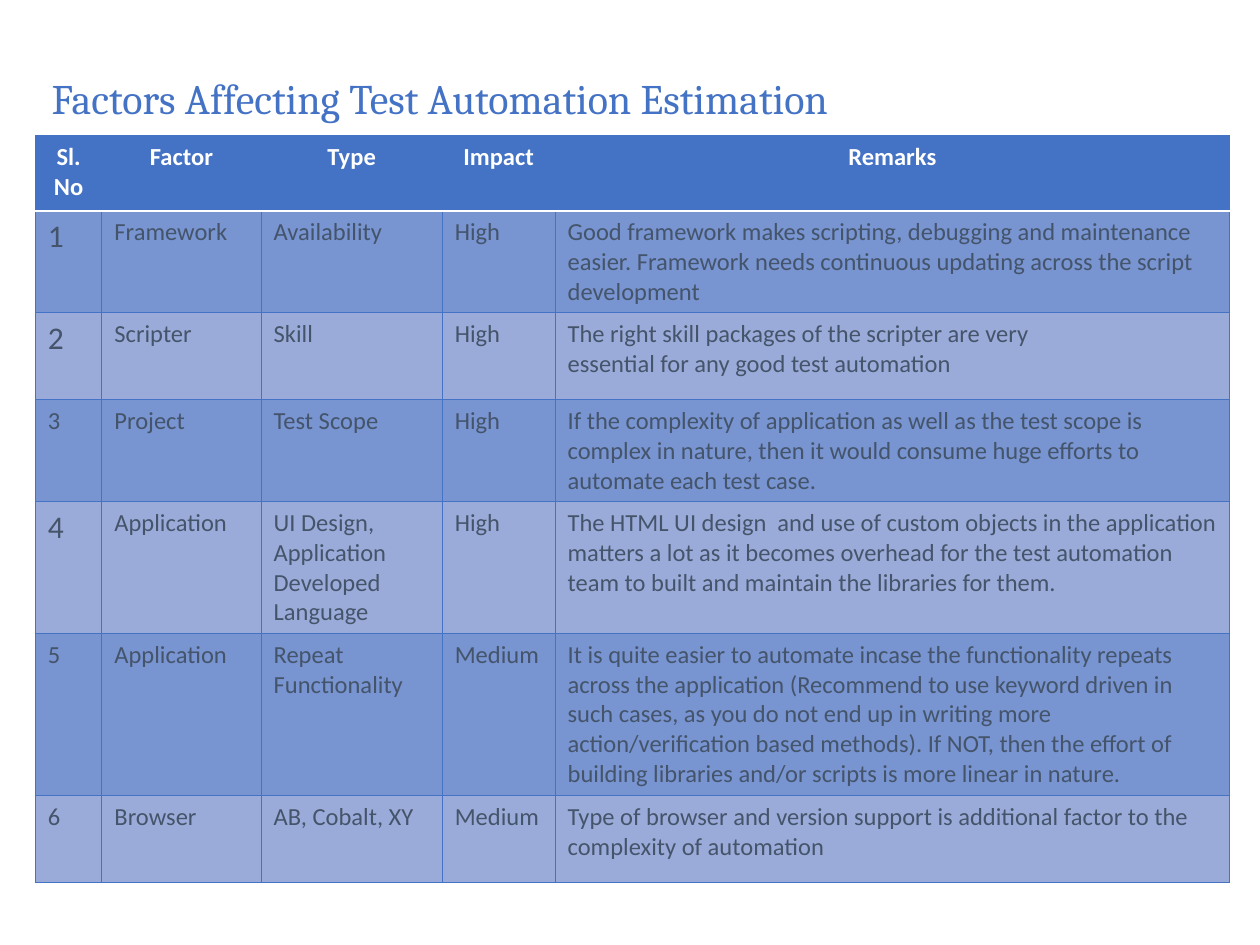
"""Build the slide on factors affecting test automation estimation."""
from dataclasses import dataclass

from lxml.etree import fromstring
from pptx import Presentation
from pptx.dml.color import RGBColor as RGB
from pptx.enum.text import MSO_ANCHOR as ANCHOR, PP_ALIGN as ALIGN
from pptx.oxml.ns import nsdecls
from pptx.util import Pt


@dataclass(frozen=True)
class Theme:
    accent: str = "4472C4"
    odd: str = "7894D1"
    even: str = "9BABD9"
    text: str = "44546A"
    white: str = "FFFFFF"
    title_font: str = "Cambria"
    body_font: str = "Calibri"
    title_size: float = 24
    number_size: float = 18
    body_size: float = 14


T = Theme()
COLS = [38, 91, 103.5, 64.5, 385.5]
HEIGHTS = [43, 58.3, 49.7, 58.3, 75.4, 92.6, 49.7]
LARGE_NUMBERS = {"1", "2", "4"}
ROWS = [
    ("Sl. No", "Factor", "Type", "Impact", "Remarks"),
    ("1", "Framework", "Availability", "High",
     "Good framework makes scripting, debugging and maintenance easier. "
     "Framework needs continuous updating across the script development"),
    ("2", "Scripter", "Skill", "High",
     "The right skill packages of the scripter are very\n"
     "essential for any good test automation"),
    ("3", "Project", "Test Scope", "High",
     "If the complexity of application as well as the test scope is complex in "
     "nature, then it would consume huge efforts to automate each test case."),
    ("4", "Application", "UI Design,\nApplication Developed Language", "High",
     "The HTML UI design  and use of custom objects in the application matters "
     "a lot as it becomes overhead for the test automation team to built and "
     "maintain the libraries for them."),
    ("5", "Application", "Repeat Functionality", "Medium",
     "It is quite easier to automate incase the functionality repeats across "
     "the application (Recommend to use keyword driven in such cases, as you do "
     "not end up in writing more action/verification based methods). If NOT, "
     "then the effort of building libraries and/or scripts is more linear in "
     "nature."),
    ("6", "Browser", "AB, Cobalt, XY", "Medium",
     "Type of browser and version support is additional factor to the "
     "complexity of automation"),
]


def format_text(tf, font, size, color, bold=False, align=ALIGN.LEFT):
    for p in tf.paragraphs:
        p.alignment = align
        for r in p.runs:
            r.font.name, r.font.size, r.font.bold = font, Pt(size), bold
            r.font.color.rgb = RGB.from_string(color)


def add_title(s, text):
    sp = s.shapes.add_textbox(Pt(22.5), Pt(36.5), Pt(562.5), Pt(42.5))
    tf = sp.text_frame
    tf.word_wrap = True
    tf.vertical_anchor = ANCHOR.MIDDLE
    tf.text = text
    tf.paragraphs[0].line_spacing = 0.9
    format_text(tf, T.title_font, T.title_size, T.accent)


def set_borders(cell, top, bottom):
    edges = [("L", T.accent), ("R", T.accent), ("T", top), ("B", bottom)]
    for i, (side, color) in enumerate(edges):
        width = Pt(1 if color == T.white else 0.5)
        ln = fromstring(
            f'<a:ln{side} {nsdecls("a")} w="{width}"><a:solidFill>'
            f'<a:srgbClr val="{color}"/></a:solidFill></a:ln{side}>')
        cell._tc.get_or_add_tcPr().insert(i, ln)


def fill_cell(cell, text, row):
    header = row == 0
    cell.text = text
    size = T.number_size if text in LARGE_NUMBERS else T.body_size
    format_text(cell.text_frame, T.body_font, size,
                T.white if header else T.text, header,
                ALIGN.CENTER if header else ALIGN.LEFT)
    fill = T.accent if header else T.odd if row % 2 else T.even
    cell.fill.solid()
    cell.fill.fore_color.rgb = RGB.from_string(fill)
    set_borders(cell, T.white if row == 1 else T.accent,
                T.white if header else T.accent)


def add_factor_table(s):
    gf = s.shapes.add_table(len(ROWS), len(COLS), Pt(20.2), Pt(77.5),
                            Pt(sum(COLS)), Pt(sum(HEIGHTS)))
    table = gf.table
    for col, width in zip(table.columns, COLS):
        col.width = Pt(width)
    for i, (row, height) in enumerate(zip(table.rows, HEIGHTS)):
        row.height = Pt(height)
        for cell, text in zip(row.cells, ROWS[i]):
            fill_cell(cell, text, i)


def main():
    prs = Presentation()
    prs.slide_width, prs.slide_height = Pt(720), Pt(540)
    s = prs.slides.add_slide(prs.slide_layouts[6])
    add_title(s, "Factors Affecting Test Automation Estimation")
    add_factor_table(s)
    prs.save("out.pptx")


if __name__ == "__main__":
    main()
